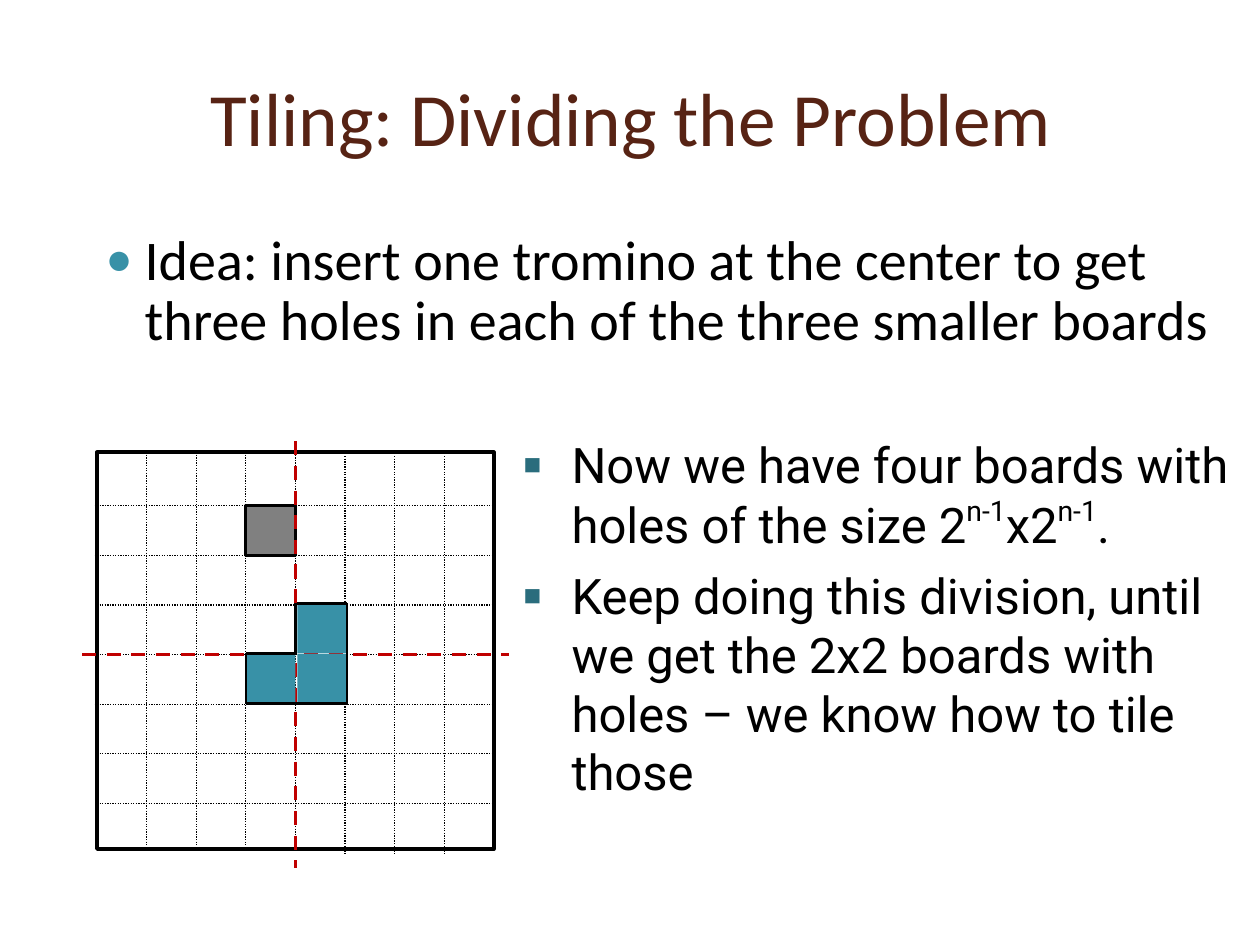
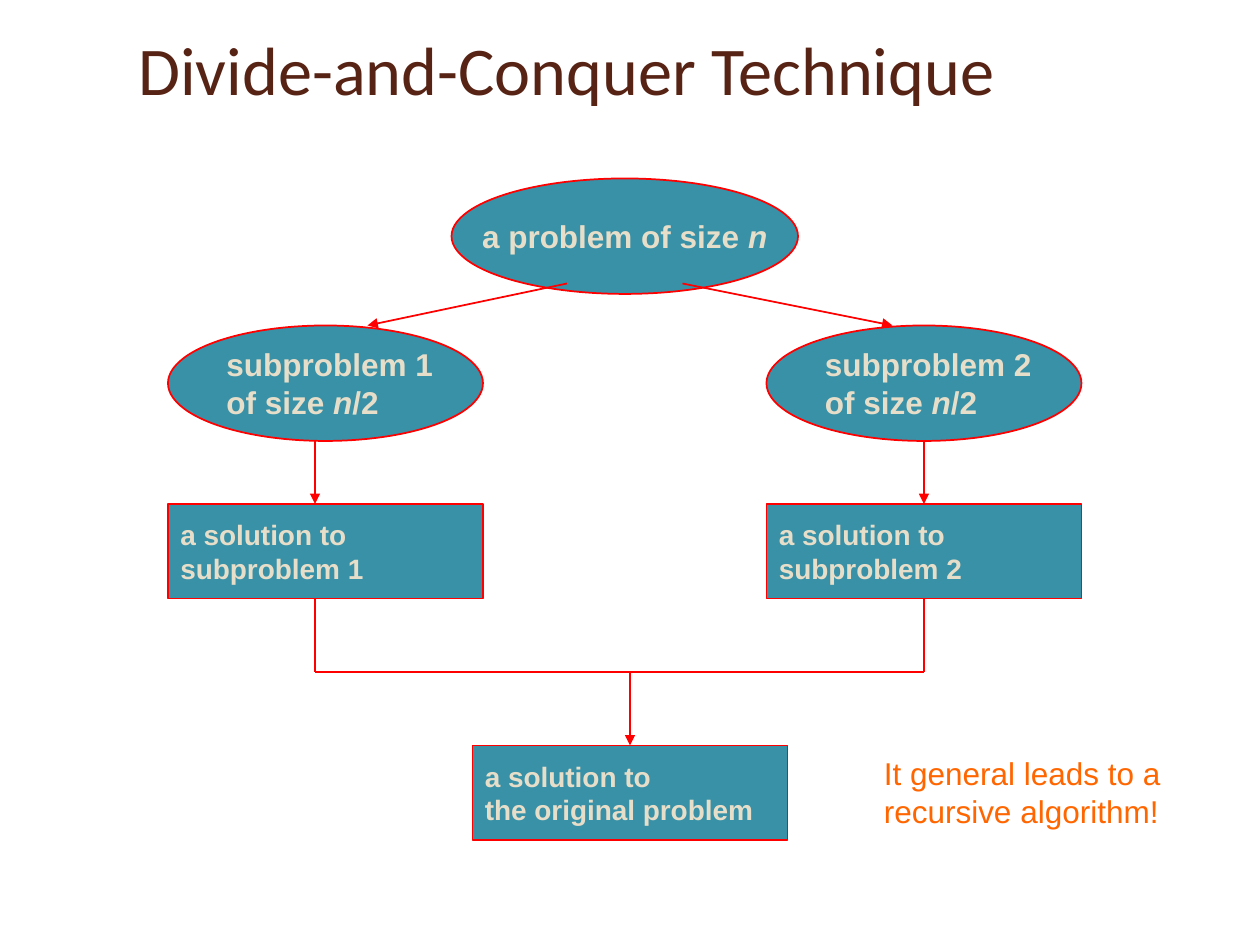
from dataclasses import dataclass
from typing import NamedTuple

from lxml.etree import SubElement
from pptx import Presentation
from pptx.dml.color import RGBColor
from pptx.enum.dml import MSO_LINE
from pptx.enum.shapes import MSO_CONNECTOR, MSO_SHAPE
from pptx.enum.text import MSO_ANCHOR, PP_ALIGN
from pptx.oxml.ns import qn
from pptx.util import Inches, Pt

COLORS = {
    "title": "572314",
    "text": "000000",
    "teal": "3891A7",
    "deep_teal": "2A6D7D",
    "hole": "808080",
    "cut": "C00000",
    "flow": "FF0000",
    "cream": "E7DEC9",
    "note": "FF6600",
}


class Run(NamedTuple):
    text: str
    italic: bool = False
    raise_percent: int = 0


class Bullet(NamedTuple):
    mark: str
    color: str
    percent: int
    indent: float
    hanging: float


class Area(NamedTuple):
    column: float
    row: float
    columns: float
    rows: float


class Segment(NamedTuple):
    start: tuple[float, float]
    end: tuple[float, float]


@dataclass(frozen=True)
class Grid:
    left: float
    top: float
    cell: float

    def point(self, column: float, row: float):
        return (Inches(self.left + column * self.cell),
                Inches(self.top + row * self.cell))

    def box(self, area: Area):
        return (*self.point(area.column, area.row),
                Inches(area.columns * self.cell), Inches(area.rows * self.cell))


@dataclass(frozen=True)
class Stroke:
    color: str
    width: float
    dash: MSO_LINE | None = None
    arrow: bool = False


@dataclass(frozen=True)
class Step:
    area: Area
    lines: tuple
    outline: MSO_SHAPE = MSO_SHAPE.RECTANGLE
    size: float = 16
    align: PP_ALIGN = PP_ALIGN.LEFT


PAGE = Grid(0, 0, 1 / 12)
BOARD = Grid(0.77, 3.62, 3.15 / 8)
BOARD_CELLS = 8
EDGE = Stroke("text", 1.5)
FLOW = Stroke("flow", 1)
FLOW_ARROW = Stroke("flow", 1, arrow=True)


def rgb(name: str) -> RGBColor:
    return RGBColor.from_string(COLORS[name])


def add_bullet(paragraph, bullet: Bullet) -> None:
    properties = paragraph._p.get_or_add_pPr()
    properties.set("marL", str(Inches(bullet.indent)))
    properties.set("indent", str(-Inches(bullet.hanging)))
    tint = SubElement(properties, qn("a:buClr"))
    SubElement(tint, qn("a:srgbClr"), val=COLORS[bullet.color])
    SubElement(properties, qn("a:buSzPct"), val=str(bullet.percent * 1000))
    SubElement(properties, qn("a:buFont"), typeface="Arial")
    SubElement(properties, qn("a:buChar"), char=bullet.mark)


def write(frame, paragraphs, *, font: str, size: float, color: str,
          bold: bool = False, align: PP_ALIGN = PP_ALIGN.LEFT,
          anchor: MSO_ANCHOR = MSO_ANCHOR.TOP, wrap: bool = True,
          bullet: Bullet | None = None, spacing: float | None = None,
          before: float = 0) -> None:
    frame.word_wrap = wrap
    frame.vertical_anchor = anchor
    for index, runs in enumerate(paragraphs):
        paragraph = frame.add_paragraph() if index else frame.paragraphs[0]
        if bullet:
            add_bullet(paragraph, bullet)
        paragraph.alignment = align
        if spacing:
            paragraph.line_spacing = spacing
        if index and before:
            paragraph.space_before = Pt(before)
        for part in runs:
            run = paragraph.add_run()
            run.text = part.text
            run.font.name = font
            run.font.size = Pt(size)
            run.font.bold = bold
            run.font.italic = part.italic
            run.font.color.rgb = rgb(color)
            if part.raise_percent:
                run._r.get_or_add_rPr().set(
                    "baseline", str(part.raise_percent * 1000))


def add_text(slide, area: Area, paragraphs, **form) -> None:
    write(slide.shapes.add_textbox(*PAGE.box(area)).text_frame, paragraphs, **form)


def add_title(slide, area: Area, title: str, size: float) -> None:
    add_text(slide, area, [[Run(title)]], font="Calibri", size=size,
             color="title", anchor=MSO_ANCHOR.MIDDLE)


def add_block(slide, grid: Grid, area: Area, fill: str | None = None,
              stroke: Stroke | None = None,
              outline: MSO_SHAPE = MSO_SHAPE.RECTANGLE):
    block = slide.shapes.add_shape(outline, *grid.box(area))
    block.shadow.inherit = False
    if fill:
        block.fill.solid()
        block.fill.fore_color.rgb = rgb(fill)
    else:
        block.fill.background()
    if stroke:
        block.line.color.rgb = rgb(stroke.color)
        block.line.width = Pt(stroke.width)
    else:
        block.line.fill.background()
    return block


def add_line(slide, grid: Grid, segment: Segment, stroke: Stroke) -> None:
    line = slide.shapes.add_connector(
        MSO_CONNECTOR.STRAIGHT, *grid.point(*segment.start), *grid.point(*segment.end))
    line.line.color.rgb = rgb(stroke.color)
    line.line.width = Pt(stroke.width)
    if stroke.dash:
        line.line.dash_style = stroke.dash
    if stroke.arrow:
        SubElement(line.line._get_or_add_ln(), qn("a:tailEnd"), type="triangle")
    SubElement(line._element.spPr, qn("a:effectLst"))


def draw_board(slide) -> None:
    add_block(slide, BOARD, Area(3, 1, 1, 1), "hole", EDGE)
    add_block(slide, BOARD, Area(0, -0.08, BOARD_CELLS, BOARD_CELLS),
              stroke=Stroke("text", 2))
    dotted = Stroke("text", 0.75, MSO_LINE.ROUND_DOT)
    reach = BOARD_CELLS + 0.03
    for index in range(1, BOARD_CELLS):
        top = -0.08 if index <= BOARD_CELLS / 2 else 0
        left = -0.05 if index in (1, 2, 5) else 0
        add_line(slide, BOARD, Segment((index, top), (index, top + reach)), dotted)
        add_line(slide, BOARD, Segment((left, index), (left + reach, index)), dotted)
    middle, overhang = BOARD_CELLS / 2, 0.3
    near, far = -overhang, BOARD_CELLS + overhang
    cut = Stroke("cut", 2, MSO_LINE.DASH)
    add_line(slide, BOARD, Segment((near, middle), (far, middle)), cut)
    add_line(slide, BOARD, Segment((middle, near), (middle, far)), cut)


def draw_tromino(slide) -> None:
    left, center, right = 3, 4.04, 5.04
    top, middle, bottom = 2.97, 3.98, 4.99
    for column, row in ((center, middle), (left, middle), (center, top)):
        add_block(slide, BOARD, Area(column, row, 1, 1), "teal")
    corners = [(left, bottom), (right, bottom), (right, top), (center, top)]
    inner = [(left, bottom), (left, middle), (center, middle)]
    for outline in (corners, inner, [(4, top), (4, middle)]):
        for start, end in zip(outline, outline[1:]):
            add_line(slide, BOARD, Segment(start, end), EDGE)


def build_tiling(slide) -> None:
    add_title(slide, Area(18.84, 3.6, 98.4, 15), "Tiling: Dividing the Problem", 43)
    add_text(slide, Area(7.8, 21.5, 109.7, 20.4),
             [[Run("Idea: insert one tromino at the center to get three holes "
                   "in each of the three smaller boards")]],
             font="Calibri", size=32, color="text", spacing=0.9,
             bullet=Bullet("●", "teal", 80, 0.4, 0.31))
    draw_board(slide)
    power = Run("n-1", raise_percent=44)
    add_text(slide, Area(48.7, 40.8, 70.8, 34.3), [
        [Run("Now we have four boards with holes of the size 2"), power,
         Run("x2"), power, Run(".")],
        [Run("Keep doing this division, until we get the 2x2 boards with "
             "holes – we know how to tile those")],
    ], font="Roboto", size=28, color="text", before=7,
        bullet=Bullet("■", "deep_teal", 60, 0.38, 0.38))
    draw_tromino(slide)


def build_technique(slide) -> None:
    add_title(slide, Area(12, 2, 108, 9), "Divide-and-Conquer Technique", 39)
    size_symbol = Run("n", italic=True)
    branches = ((1, 16, 30), (2, 73, 88))
    steps = [
        Step(Area(43, 17, 33, 11), ((Run("a problem of size "), size_symbol),),
             MSO_SHAPE.OVAL, 18, PP_ALIGN.CENTER),
        Step(Area(45, 71, 30, 9),
             ((Run("a solution to"),), (Run("the original problem"),))),
    ]
    links = [Segment((54, 27), (35, 31)), Segment((65, 27), (85, 31)),
             Segment((60, 64), (60, 71))]
    joints = [Segment((30, 64), (88, 64))]
    for number, column, axis in branches:
        name = f"subproblem {number}"
        steps += [
            Step(Area(column, 31, 30, 11),
                 ((Run(name),), (Run("of size "), size_symbol, Run("/2"))),
                 MSO_SHAPE.OVAL, 18),
            Step(Area(column, 48, 30, 9), ((Run("a solution to"),), (Run(name),))),
        ]
        links.append(Segment((axis, 42), (axis, 48)))
        joints.append(Segment((axis, 57), (axis, 64)))
    for step in steps:
        block = add_block(slide, PAGE, step.area, "teal", FLOW, step.outline)
        write(block.text_frame, step.lines, font="Arial", size=step.size,
              color="cream", bold=True, align=step.align,
              anchor=MSO_ANCHOR.MIDDLE, wrap=False)
    for link in links:
        add_line(slide, PAGE, link, FLOW_ARROW)
    for joint in joints:
        add_line(slide, PAGE, joint, FLOW)
    add_text(slide, Area(83, 71.2, 36, 8.4),
             [[Run("It general leads to a recursive algorithm!")]],
             font="Arial", size=18, color="note")


def main() -> None:
    deck = Presentation()
    deck.slide_width, deck.slide_height = Inches(10), Inches(7.5)
    for build in (build_tiling, build_technique):
        build(deck.slides.add_slide(deck.slide_layouts[6]))
    deck.save("out.pptx")


if __name__ == "__main__":
    main()
